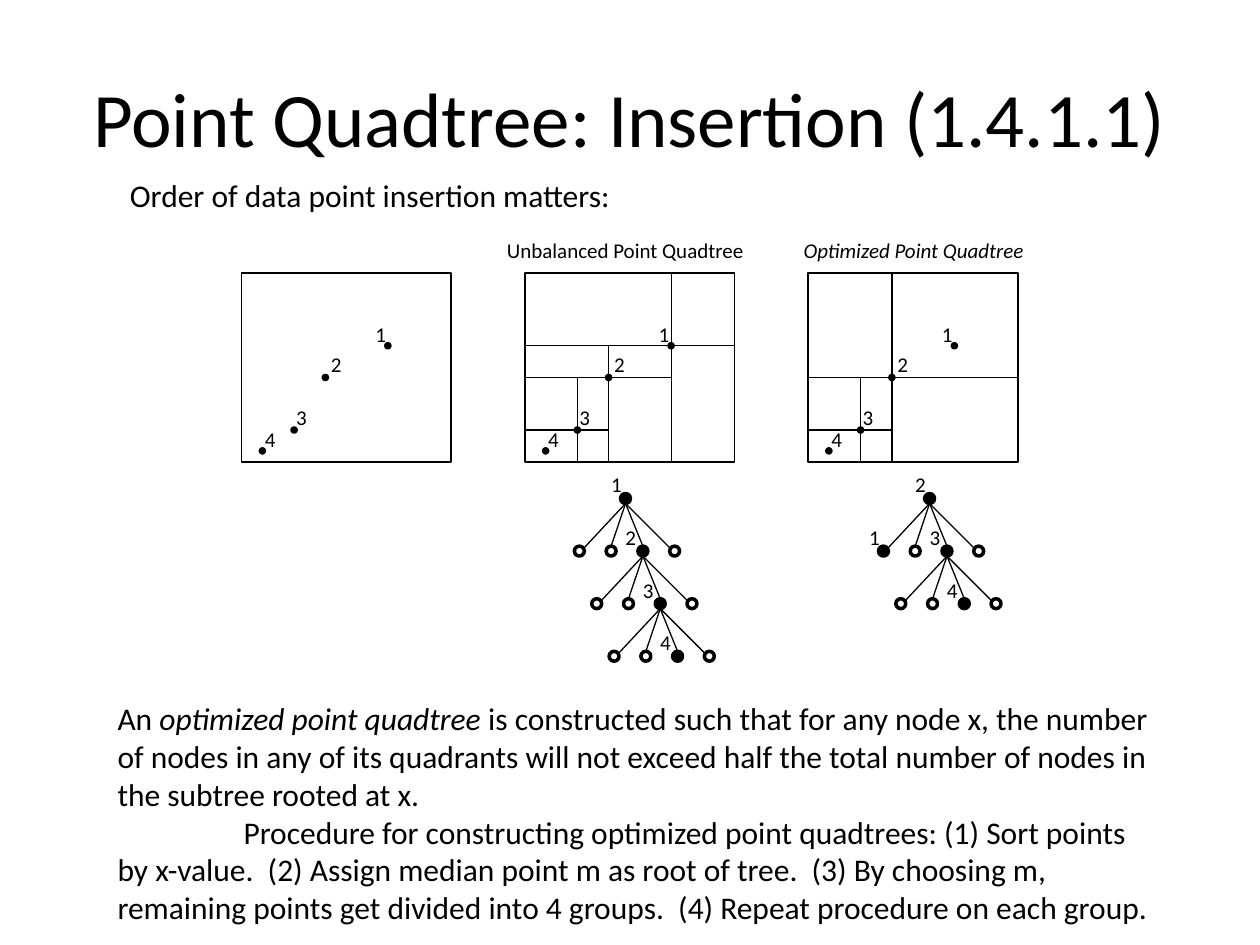
from lxml.etree import SubElement
from pptx import Presentation
from pptx.dml.color import RGBColor
from pptx.enum.shapes import MSO_CONNECTOR, MSO_SHAPE
from pptx.enum.text import MSO_ANCHOR, MSO_AUTO_SIZE, PP_ALIGN
from pptx.oxml.ns import qn
from pptx.util import Cm, Pt

BLACK = RGBColor(0x00, 0x00, 0x00)
FONT = "Calibri"
MAP_WIDTH, MAP_HEIGHT = 4.23, 3.81
LABEL_WIDTH, LABEL_HEIGHT = 0.71, 0.76
POINTS = {"1": (2.95, 1.47), "2": (1.69, 2.11), "3": (1.06, 3.17), "4": (0.42, 3.59)}
LABEL_OFFSETS = {"1": (-0.5, -0.61), "2": (-0.14, -0.64), "3": (-0.21, -0.63), "4": (-0.2, -0.61)}
CHILD_START, CHILD_STEP, LEVEL_STEP = -0.93, 0.64, 1.06
EDGE_ENDS = [(0.08, -0.05), (0, -0.1), (0, -0.1), (-0.08, -0.05)]


def add_text(slide, paragraphs, left, top, width, height, size=12, italic=False,
             align=PP_ALIGN.LEFT, anchor=MSO_ANCHOR.TOP, wrap=False, grow=True, tab=None):
    box = slide.shapes.add_textbox(Cm(left), Cm(top), Cm(width), Cm(height))
    frame = box.text_frame
    frame.word_wrap = wrap
    frame.auto_size = MSO_AUTO_SIZE.SHAPE_TO_FIT_TEXT if grow else MSO_AUTO_SIZE.NONE
    frame.vertical_anchor = anchor
    if isinstance(paragraphs, str):
        paragraphs = [[(paragraphs, italic)]]
    for index, pieces in enumerate(paragraphs):
        paragraph = frame.add_paragraph() if index else frame.paragraphs[0]
        paragraph.alignment = align
        if tab:
            stops = SubElement(paragraph._p.get_or_add_pPr(), qn("a:tabLst"))
            SubElement(stops, qn("a:tab"), pos=str(Cm(tab)), algn="l")
        for words, slanted in pieces:
            run = paragraph.add_run()
            run.text = words
            run.font.name = FONT
            run.font.size = Pt(size)
            run.font.italic = slanted
            run.font.color.rgb = BLACK


def add_outline(slide, kind, left, top, width, height, weight, filled=False):
    outline = slide.shapes.add_shape(kind, Cm(left), Cm(top), Cm(width), Cm(height))
    outline.shadow.inherit = False
    outline.line.color.rgb = BLACK
    outline.line.width = Pt(weight)
    if filled:
        outline.fill.solid()
        outline.fill.fore_color.rgb = BLACK
    else:
        outline.fill.background()


def add_dot(slide, x, y, size, filled=True):
    add_outline(slide, MSO_SHAPE.OVAL, x - size / 2, y - size / 2, size, size, 2, filled)


def add_line(slide, x1, y1, x2, y2):
    line = slide.shapes.add_connector(MSO_CONNECTOR.STRAIGHT, Cm(x1), Cm(y1), Cm(x2), Cm(y2))
    line.line.color.rgb = BLACK
    line.line.width = Pt(0.75)
    SubElement(line._element.spPr, qn("a:effectLst"))


def add_label(slide, label, left, top):
    add_text(slide, label, left, top, LABEL_WIDTH, LABEL_HEIGHT)


def add_point_map(slide, left, top, splits):
    add_outline(slide, MSO_SHAPE.RECTANGLE, left, top, MAP_WIDTH, MAP_HEIGHT, 1)
    right_edge, top_edge = left + MAP_WIDTH, top
    for label in splits:
        x, y = left + POINTS[label][0], top + POINTS[label][1]
        add_line(slide, left, y, right_edge, y)
        add_line(slide, x, top_edge, x, top + MAP_HEIGHT)
        right_edge, top_edge = x, y
    for label, (dx, dy) in POINTS.items():
        shift_x, shift_y = LABEL_OFFSETS[label]
        add_dot(slide, left + dx, top + dy, 0.08)
        add_label(slide, label, left + dx + shift_x, top + dy + shift_y)


def add_node(slide, x, y, label, label_shift=0.54):
    add_dot(slide, x, y, 0.2, filled=label is not None)
    if label:
        add_label(slide, label, x - label_shift, y - 0.66)


def add_tree(slide, x, y, root, levels):
    add_node(slide, x, y, root)
    for labels in levels:
        child_y = y + LEVEL_STEP
        for index, (label, (end_x, end_y)) in enumerate(zip(labels, EDGE_ENDS)):
            child_x = x + CHILD_START + index * CHILD_STEP
            add_line(slide, x, y + 0.1, child_x + end_x, child_y + end_y)
            add_node(slide, child_x, child_y, label, label_shift=0.6 if index else 0.54)
        x, y = x + CHILD_START + 2 * CHILD_STEP, child_y


def add_heading(slide, left, top, width):
    add_text(slide, "Point Quadtree: Insertion (1.4.1.1)", left, top, width, 3.18, size=44,
             align=PP_ALIGN.CENTER, anchor=MSO_ANCHOR.MIDDLE, wrap=True, grow=False)
    add_text(slide, "Order of data point insertion matters:", left + 1.1, top + 2.67,
             10.24, 1.02, size=18)


def add_explanation(slide, left, top, width, height):
    definition = [
        ("An ", False),
        ("optimized point quadtree", True),
        (" is constructed such that for any node x, the number of nodes in any of its "
         "quadrants will not exceed half the total number of nodes in the subtree "
         "rooted at x.", False),
    ]
    procedure = [
        ("\tProcedure for constructing optimized point quadtrees: (1) Sort points by "
         "x-value.  (2) Assign median point m as root of tree.  (3) By choosing m, "
         "remaining points get divided into 4 groups.  (4) Repeat procedure on each "
         "group.", False),
    ]
    add_text(slide, [definition, procedure], left, top, width, height, size=18, wrap=True,
             tab=2.54)


def main():
    deck = Presentation()
    deck.slide_width, deck.slide_height = Cm(25.4), Cm(19.05)
    slide = deck.slides.add_slide(deck.slide_layouts[6])

    add_heading(slide, 1.27, 0.76, 22.86)
    for column, splits in enumerate(["", "123", "23"]):
        add_point_map(slide, 4.87 + column * 5.71, 5.5, splits)
    add_text(slide, "Unbalanced Point Quadtree", 9.97, 4.66, 5.28, LABEL_HEIGHT)
    add_text(slide, "Optimized Point Quadtree", 15.95, 4.66, 4.95, LABEL_HEIGHT, italic=True)
    add_tree(slide, 12.61, 10.05, "1", [(None, None, label, None) for label in "234"])
    add_tree(slide, 18.74, 10.05, "2", [("1", None, "3", None), (None, None, "4", None)])
    add_explanation(slide, 2.12, 13.97, 21.56, 4.83)

    deck.save("out.pptx")


if __name__ == "__main__":
    main()
